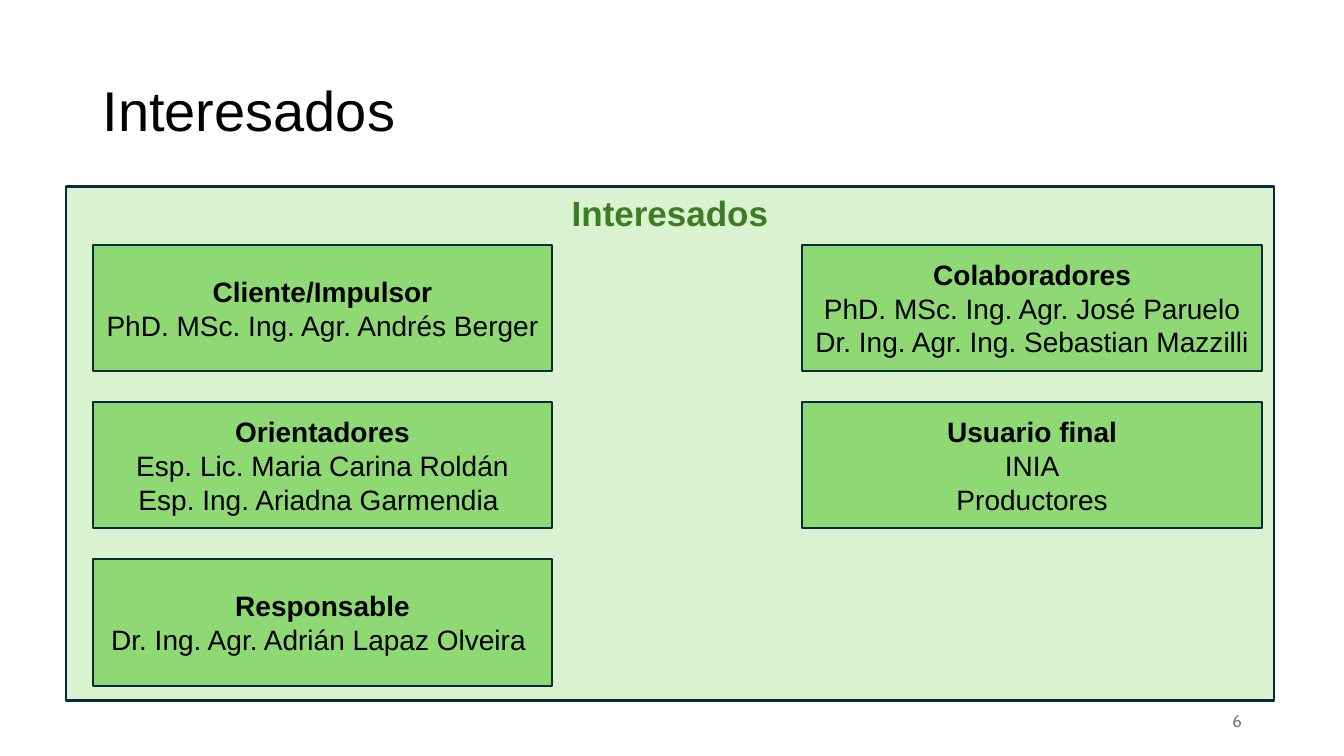
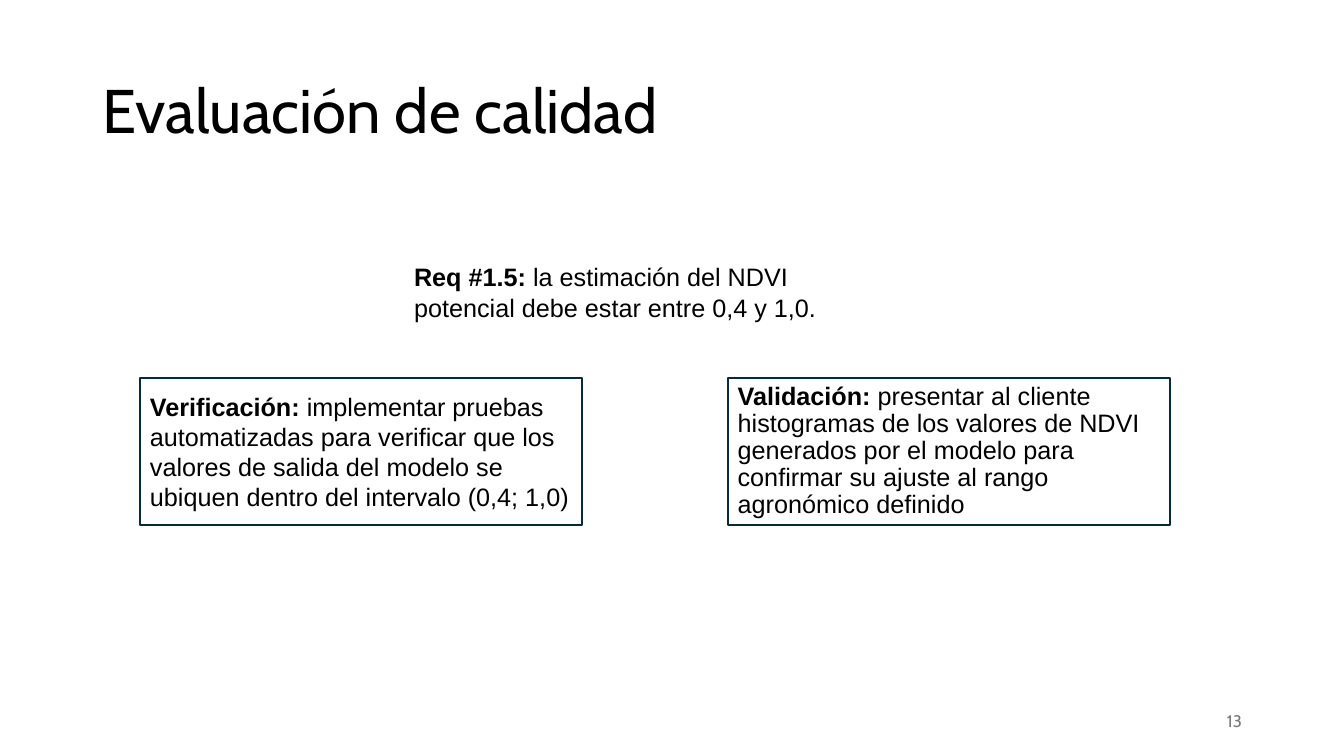
from pptx import Presentation
from pptx import util as u
from pptx.dml import color
from pptx.enum import shapes, text

WIDTH, HEIGHT = u.Inches(13.33), u.Inches(7.5)
BLACK, WHITE, GREY = "000000", "FFFFFF", "797979"
NAVY, PALE, GREEN, FOREST = "092A39", "D9F2D0", "8ED973", "3B7D23"
LEFT, CENTER, RIGHT = text.PP_ALIGN.LEFT, text.PP_ALIGN.CENTER, text.PP_ALIGN.RIGHT
TOP, MIDDLE = text.MSO_ANCHOR.TOP, text.MSO_ANCHOR.MIDDLE

STAKEHOLDERS = [
    (0, 0, "Cliente/Impulsor", ["PhD. MSc. Ing. Agr. Andrés Berger"]),
    (0, 1, "Orientadores", ["Esp. Lic. Maria Carina Roldán", "Esp. Ing. Ariadna Garmendia "]),
    (0, 2, "Responsable", ["Dr. Ing. Agr. Adrián Lapaz Olveira "]),
    (1, 0, "Colaboradores", ["PhD. MSc. Ing. Agr. José Paruelo", "Dr. Ing. Agr. Ing. Sebastian Mazzilli"]),
    (1, 1, "Usuario final", ["INIA", "Productores"]),
]
CHECKS = [
    ("Verificación:", " implementar pruebas automatizadas para verificar que los valores de salida "
     "del modelo se ubiquen dentro del intervalo (0,4; 1,0)", 1),
    ("Validación:", " presentar al cliente histogramas de los valores de NDVI generados por el "
     "modelo para confirmar su ajuste al rango agronómico definido", 0.9),
]


def rgb(value):
    return color.RGBColor.from_string(value)


def apply(target, values):
    for name, value in values.items():
        setattr(target, name, value)


def place(left, top, width, height):
    return [int(share * size / 100) for share, size in
            ((left, WIDTH), (top, HEIGHT), (width, WIDTH), (height, HEIGHT))]


def write(box, paragraphs, size, ink=BLACK, face="Arial", align=LEFT, anchor=MIDDLE, spacing=1):
    apply(box.text_frame, {"word_wrap": True, "vertical_anchor": anchor})
    for index, spans in enumerate(paragraphs):
        para = box.text_frame.add_paragraph() if index else box.text_frame.paragraphs[0]
        apply(para, {"alignment": align, "line_spacing": spacing})
        for words, bold in spans:
            span = para.add_run()
            span.text = words
            apply(span.font, {"size": u.Pt(size), "name": face, "bold": bold})
            span.font.color.rgb = rgb(ink)


def add_label(page, area, words, size, **style):
    write(page.shapes.add_textbox(*place(*area)), [[(words, False)]], size, **style)


def add_panel(page, area, fill, paragraphs, size, outline=NAVY, **style):
    box = page.shapes.add_shape(shapes.MSO_SHAPE.RECTANGLE, *place(*area))
    box.shadow.inherit = False
    box.fill.solid()
    box.fill.fore_color.rgb = rgb(fill)
    if outline:
        box.line.color.rgb = rgb(outline)
        box.line.width = u.Pt(1.5)
    else:
        box.line.fill.background()
    write(box, paragraphs, size, **style)


def add_page(deck, title, number, size, face):
    page = deck.slides.add_slide(deck.slide_layouts[6])
    add_label(page, (6.9, 5.33, 86.25, 19.33), title, size, face=face, spacing=0.9)
    add_label(page, (70.65, 92.67, 22.5, 5.33), number, 12, ink=GREY, face="Cabin", align=RIGHT)
    return page


def add_stakeholders(deck):
    page = add_page(deck, "Interesados", "6", 40, "Arial")
    add_panel(page, (4.88, 24.67, 89.92, 68), PALE, [[("Interesados", True)]], 25,
              ink=FOREST, align=CENTER, anchor=TOP)
    for column, row, role, people in STAKEHOLDERS:
        area = (6.9 + 52.8 * column, 32.4 + 20.8 * row, 34.2, 16.7)
        lines = [[(role, True)]] + [[(person, False)] for person in people]
        add_panel(page, area, GREEN, lines, 20, align=CENTER)


def add_quality(deck):
    page = add_page(deck, "Evaluación de calidad", "13", 44, "Cabin")
    requirement = [("Req #1.5:", True), (" la estimación del NDVI potencial debe estar entre 0,4 y 1,0.", False)]
    add_panel(page, (30.07, 29.87, 34.8, 17.47), WHITE, [requirement], 18, outline=None)
    for column, (heading, detail, spacing) in enumerate(CHECKS):
        area = (10.42 + 43.73 * column, 50, 32.92, 19.4)
        add_panel(page, area, WHITE, [[(heading, True), (detail, False)]], 18, spacing=spacing)


def main():
    deck = Presentation()
    apply(deck, {"slide_width": WIDTH, "slide_height": HEIGHT})
    add_stakeholders(deck)
    add_quality(deck)
    deck.save("out.pptx")


if __name__ == "__main__":
    main()
